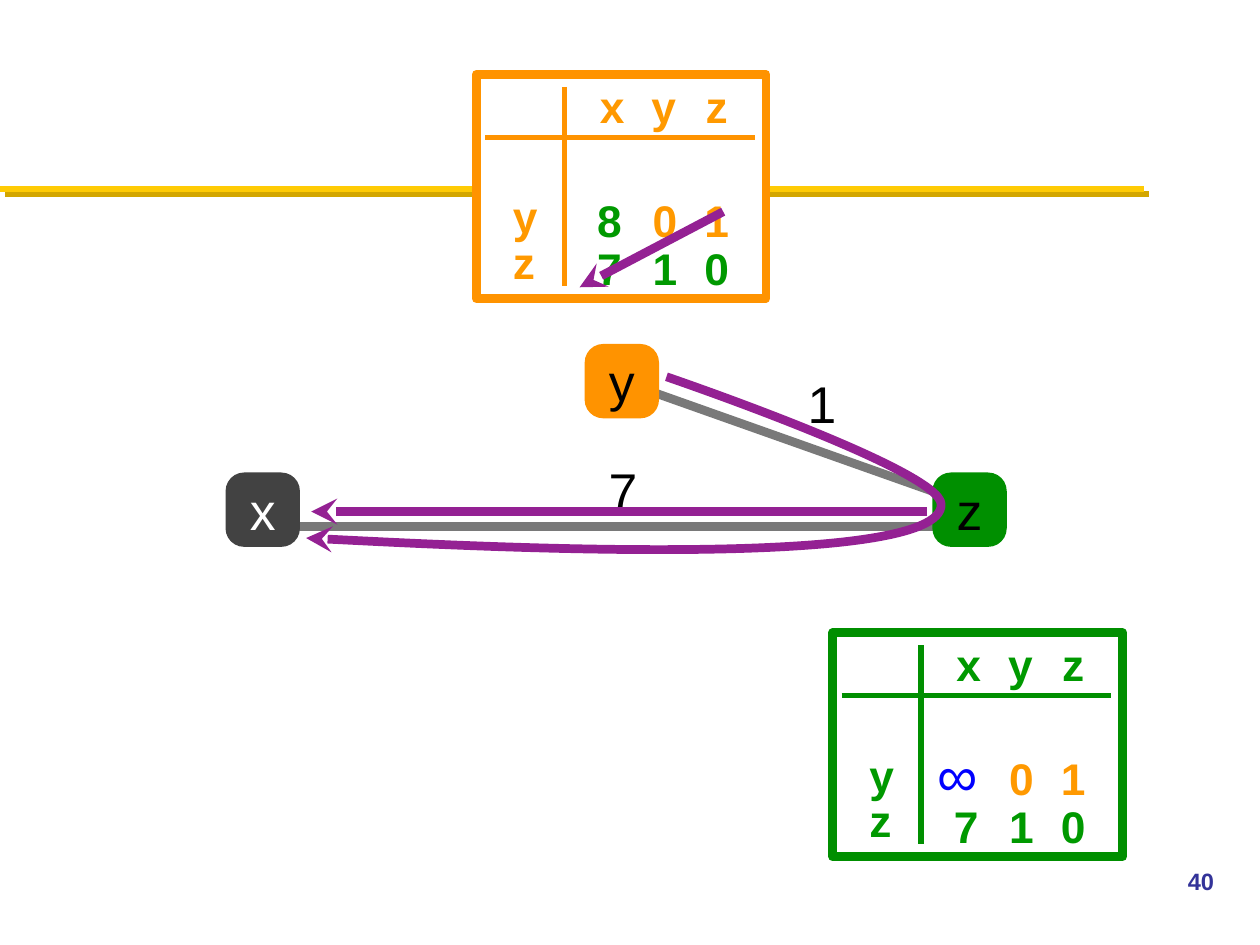
from pptx import Presentation
from pptx.dml.color import RGBColor as RGB
from pptx.enum.shapes import MSO_CONNECTOR as CON, MSO_SHAPE as SHP
from pptx.enum.text import MSO_ANCHOR as ANC, PP_ALIGN as AL
from pptx.oxml.ns import qn
from pptx.util import Inches, Pt
from lxml.etree import SubElement as sub

WHITE = RGB(255, 255, 255)
BLACK = RGB(0, 0, 0)
GOLD = RGB(0xFF, 0xCB, 0x05)
ORANGE = RGB(0xFF, 0x93, 0)
AMBER = RGB(0xFF, 0x99, 0)
GREEN = RGB(0, 0x8F, 0)
LEAF = RGB(0, 0x99, 0)
GREY = RGB(0x79, 0x79, 0x79)
DARK = RGB(0x42, 0x42, 0x42)
PURPLE = RGB(0x94, 0x21, 0x93)
BLUE = RGB(0, 0, 255)
NAVY = RGB(0x33, 0x33, 0x99)

COLS = (0.92, 1.36, 1.77)
ROWS = (0.9, 1.28)


def write(frame, text, size, color, bold=False, inset=0.04, anchor=ANC.MIDDLE):
    frame.text = text
    frame.word_wrap = True
    frame.vertical_anchor = anchor
    frame.margin_left = frame.margin_right = Inches(inset)
    frame.margin_top = frame.margin_bottom = Inches(min(inset, 0.05))
    font = frame.paragraphs[0].runs[0].font
    font.name, font.size, font.bold = "Arial", Pt(size), bold
    font.color.rgb = color


def label(slide, text, x, y, w, h, size, color, **style):
    box = slide.shapes.add_textbox(Inches(x), Inches(y), Inches(w), Inches(h))
    write(box.text_frame, text, size, color, **style)


def stroke(shape, color, width, arrow=False):
    shape.line.color.rgb = color
    shape.line.width = Pt(width)
    if arrow:
        sub(shape.line._get_or_add_ln(), qn("a:tailEnd"), type="stealth")


def line(slide, start, end, color, width=5, arrow=False):
    ends = [Inches(v) for v in start + end]
    link = slide.shapes.add_connector(CON.STRAIGHT, *ends)
    stroke(link, color, width, arrow)
    return sub(link._element.spPr, qn("a:effectLst"))


def banner(slide):
    effect = line(slide, (0, 1.5), (9.08, 1.5), GOLD, 3.5)
    shade = sub(effect, qn("a:outerShdw"), dist=str(Pt(4.2)), dir="2700000",
                algn="ctr", rotWithShape="0")
    sub(shade, qn("a:srgbClr"), val="D3A600")


def matrix(slide, x, y, frame, ink, cells):
    box = slide.shapes.add_shape(SHP.RECTANGLE, Inches(x), Inches(y),
                                 Inches(2.3), Inches(1.78))
    box.shadow.inherit = False
    box.fill.solid()
    box.fill.fore_color.rgb = WHITE
    stroke(box, frame, 5)
    line(slide, (x + 0.07, y + 0.5), (x + 2.21, y + 0.5), frame, 3)
    line(slide, (x + 0.7, y + 0.1), (x + 0.7, y + 1.68), frame, 3)
    for name, dx in zip("xyz", (0.94, 1.35, 1.78)):
        label(slide, name, x + dx, y + 0.02, 0.29, 0.46, 25.3, ink, bold=True)
    for name, dy in zip("yz", (0.87, 1.23)):
        label(slide, name, x + 0.25, y + dy, 0.26, 0.51, 25.3, ink, bold=True)
    for row, dy in zip(cells, ROWS):
        for (text, color), dx in zip(row, COLS):
            if text == "∞":
                label(slide, text, x + 0.79, y + 0.86, 0.48, 0.53, 32.3, color)
            else:
                label(slide, text, x + dx, y + dy, 0.2, 0.51, 25.3, color,
                      bold=True)


def node(slide, name, x, y, fill, ink):
    side = Inches(0.59)
    box = slide.shapes.add_shape(SHP.ROUNDED_RECTANGLE, Inches(x), Inches(y),
                                 side, side)
    box.adjustments[0] = 0.25
    box.shadow.inherit = False
    box.fill.solid()
    box.fill.fore_color.rgb = fill
    box.line.fill.background()
    write(box.text_frame, name, 29.5, ink, inset=0)
    box.text_frame.paragraphs[0].alignment = AL.CENTER


def curve(slide, start, corner, arcs):
    left, top = arcs[-1][-1][0], start[1]
    pen = slide.shapes.build_freeform(Inches(start[0]), Inches(start[1]))
    spots = (corner, arcs[-1][-1])
    pen.add_line_segments([(Inches(a), Inches(b)) for a, b in spots], False)
    shape = pen.convert_to_shape()
    trace = shape._element.spPr.find(".//" + qn("a:path"))
    for old in trace.findall(qn("a:lnTo")):
        trace.remove(old)
    for arc in arcs:
        bend = sub(trace, qn("a:cubicBezTo"))
        for a, b in arc:
            sub(bend, qn("a:pt"), x=str(Inches(a - left)), y=str(Inches(b - top)))
    shape.shadow.inherit = False
    shape.fill.background()
    stroke(shape, PURPLE, 5, True)


def main():
    deck = Presentation()
    deck.slide_width, deck.slide_height = Inches(10), Inches(7.5)
    slide = deck.slides.add_slide(deck.slide_layouts[6])

    banner(slide)
    last = [(n, LEAF) for n in "710"]
    near = [("0", AMBER), ("1", AMBER)]
    matrix(slide, 3.78, 0.59, ORANGE, AMBER, [[("8", LEAF)] + near, last])
    matrix(slide, 6.61, 5.02, GREEN, LEAF, [[("∞", BLUE)] + near, last])

    line(slide, (2.3, 4.18), (7.63, 4.18), GREY)
    line(slide, (5.09, 3.08), (7.63, 3.98), GREY)
    node(slide, "x", 1.79, 3.75, DARK, WHITE)
    node(slide, "z", 7.4, 3.75, GREEN, BLACK)
    node(slide, "y", 4.64, 2.73, ORANGE, BLACK)
    for cost, x, y in (("7", 4.79, 3.6), ("1", 6.37, 2.91)):
        label(slide, cost, x, y, 0.29, 0.58, 29.5, BLACK)

    line(slide, (7.36, 4.06), (2.47, 4.06), PURPLE, arrow=True)
    line(slide, (5.74, 1.68), (4.6, 2.28), PURPLE, arrow=True)
    curve(slide, (5.29, 2.99), (7.47, 4.34),
          [((5.29, 2.99), (7.46, 3.73), (7.47, 4)),
           ((7.5, 4.55), (2.43, 4.27), (2.43, 4.27))])
    label(slide, "40", 9.33, 6.83, 0.67, 0.5, 13.5, NAVY, bold=True,
          inset=0.1, anchor=ANC.TOP)
    deck.save("out.pptx")


main()
